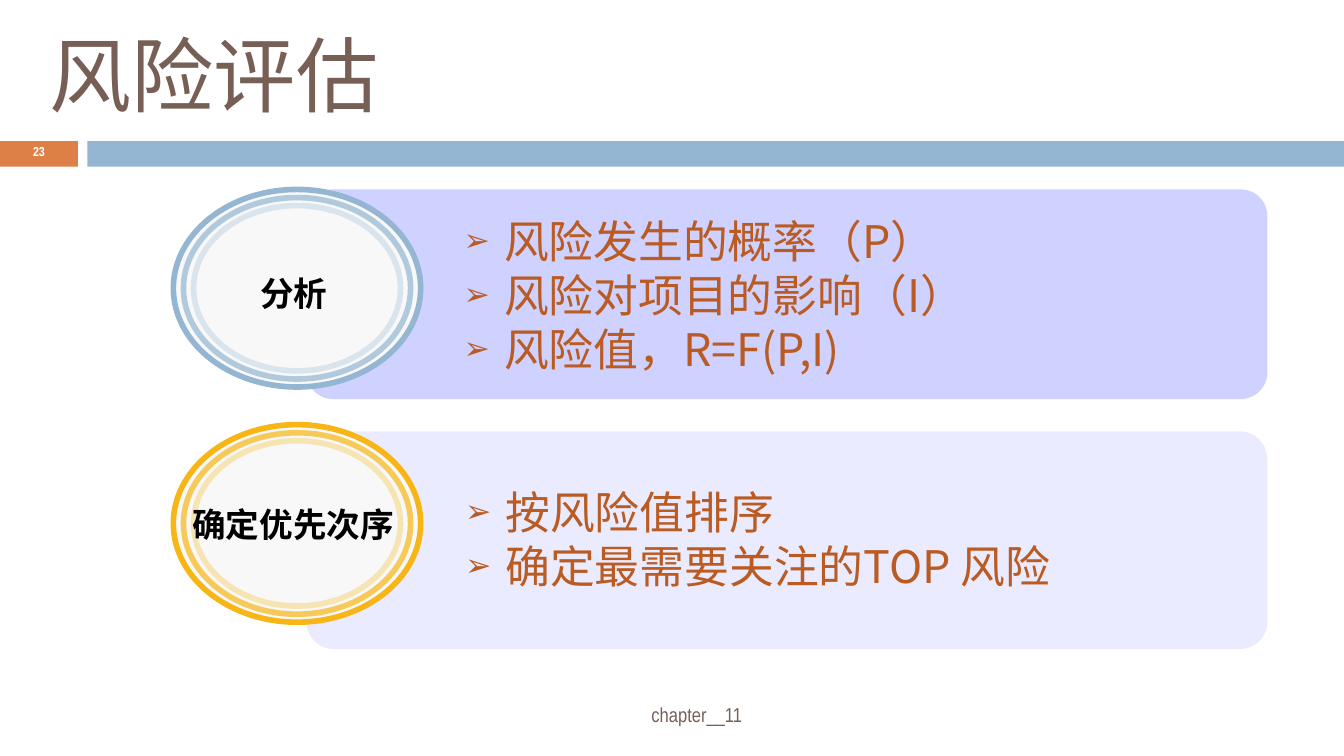
import pptx
import pptx.dml.color
import pptx.enum.shapes
import pptx.enum.text
import pptx.oxml
import pptx.oxml.ns
import pptx.util
from dataclasses import dataclass

Inches = pptx.util.Inches
Pt = pptx.util.Pt
RGB = pptx.dml.color.RGBColor.from_string
SHAPE = pptx.enum.shapes.MSO_SHAPE
ANCHOR = pptx.enum.text.MSO_ANCHOR
ALIGN = pptx.enum.text.PP_ALIGN
qn = pptx.oxml.ns.qn


@dataclass(frozen=True)
class Theme:
    brown: str = "775F55"
    orange: str = "DD8047"
    blue: str = "94B6D2"
    gold: str = "F7B615"
    rust: str = "B95B22"
    white: str = "FFFFFF"
    black: str = "000000"
    disc: str = "F8F8F8"
    lavender: str = "CFD1FF"
    pale: str = "EBEBFF"
    title_font: str = "Noto Sans CJK SC"
    body_font: str = "Noto Sans CJK JP"
    small_font: str = "Arial Narrow"
    title_size: float = 44
    body_size: float = 24
    label_size: float = 18
    footer_size: float = 10.8
    number_size: float = 7


THEME = Theme()


def add_element(parent, tag, **attrs):
    child = parent.makeelement(qn(tag), attrs)
    parent.append(child)
    return child


def place(sp, box):
    sp.left, sp.top, sp.width, sp.height = map(Inches, box)


def style_runs(p, size, font, color, bold=False):
    for r in p.runs:
        r.font.size = Pt(size)
        r.font.bold = bold
        r.font.color.rgb = RGB(color)
        r.font.name = font
        add_element(r._r.get_or_add_rPr(), "a:ea", typeface=font)


def add_box(shapes, kind, box, fill):
    sp = shapes.add_shape(kind, *map(Inches, box))
    sp.shadow.inherit = False
    if fill:
        sp.fill.solid()
        sp.fill.fore_color.rgb = RGB(fill)
    else:
        sp.fill.background()
    sp.line.fill.background()
    return sp


def add_text(s, box, text, size, font, color, bold=False, anchor=ANCHOR.MIDDLE, spacing=None):
    sp = s.shapes.add_textbox(*map(Inches, box))
    tf = sp.text_frame
    tf.word_wrap = True
    tf.vertical_anchor = anchor
    tf.text = text
    p = tf.paragraphs[0]
    p.alignment = ALIGN.CENTER
    p.line_spacing = spacing
    style_runs(p, size, font, color, bold)


def set_title(s, text):
    sp = s.shapes.title
    place(sp, (0.27, 0.14, 8.92, 0.81))
    tf = sp.text_frame
    tf.text = text
    tf.vertical_anchor = ANCHOR.MIDDLE
    p = tf.paragraphs[0]
    p.alignment = ALIGN.LEFT
    style_runs(p, THEME.title_size, THEME.title_font, THEME.brown)


def fill_list(sp, box, items):
    place(sp, box)
    sp._element.getparent().append(sp._element)
    tf = sp.text_frame
    tf.text = "\n".join(items)
    tf.vertical_anchor = ANCHOR.TOP
    tf.auto_size = pptx.enum.text.MSO_AUTO_SIZE.NONE
    for p in tf.paragraphs:
        p.level = 1
        p.space_before = Pt(0)
        pPr = p._p.get_or_add_pPr()
        pPr.set("marL", str(Inches(0.7)))
        pPr.set("indent", str(Inches(-0.3)))
        add_element(add_element(pPr, "a:buClr"), "a:srgbClr", val=THEME.rust)
        add_element(pPr, "a:buSzPct", val="70000")
        add_element(pPr, "a:buChar", char="➢")
        style_runs(p, THEME.body_size, THEME.body_font, THEME.rust)


def add_rings(s, top, color):
    group = s.shapes.add_group_shape()
    for i, alpha in enumerate((100, 70, 30)):
        dx, dy = 0.075 * i, 0.06 * i
        box = (1.29 + dx, top + dy, 1.84 - 2 * dx, 1.47 - 2 * dy)
        sp = add_box(group.shapes, SHAPE.OVAL, box, None if i else THEME.disc)
        sp.line.color.rgb = RGB(color)
        sp.line.width = Pt(3)
        if alpha < 100:
            clr = sp.line._ln.find(".//" + qn("a:srgbClr"))
            add_element(clr, "a:alpha", val=str(alpha * 1000))


def add_panel(s, top, height, fill):
    sp = add_box(s.shapes, SHAPE.ROUNDED_RECTANGLE, (2.28, top, 7.15, height), fill)
    sp.adjustments[0] = 0.127


def add_label(s, box, text):
    add_text(s, box, text, THEME.label_size, THEME.title_font, THEME.black,
             bold=True, anchor=ANCHOR.TOP)


def add_frame(s):
    add_box(s.shapes, SHAPE.RECTANGLE, (0, 1.05, 0.58, 0.19), THEME.orange)
    add_box(s.shapes, SHAPE.RECTANGLE, (0.65, 1.05, 9.35, 0.19), THEME.blue)
    add_text(s, (2.22, 5.18, 5.93, 0.3), "chapter__11", THEME.footer_size,
             THEME.small_font, THEME.brown, spacing=0.8)
    add_text(s, (0, 1.04, 0.58, 0.2), "23", THEME.number_size,
             THEME.small_font, THEME.white, bold=True, spacing=0.8)


def main():
    prs = pptx.Presentation()
    prs.slide_width, prs.slide_height = Inches(10), Inches(10 * 9 / 16)
    s = prs.slides.add_slide(prs.slide_layouts.get_by_name("Two Content"))
    analysis, priority = s.placeholders[1], s.placeholders[2]

    set_title(s, "风险评估")
    add_frame(s)

    add_panel(s, 1.41, 1.56, THEME.lavender)
    add_rings(s, 1.41, THEME.blue)
    add_label(s, (1.31, 1.98, 1.75, 0.4), "分析")
    fill_list(analysis, (2.95, 1.54, 6.45, 1.3),
              ["风险发生的概率（P）", "风险对项目的影响（I）", "风险值，R=F(P,I)"])

    add_panel(s, 3.21, 1.62, THEME.pale)
    add_rings(s, 3.16, THEME.gold)
    add_label(s, (1.29, 3.7, 1.78, 0.4), "确定优先次序")
    fill_list(priority, (2.96, 3.56, 6.39, 0.9),
              ["按风险值排序", "确定最需要关注的TOP 风险"])

    prs.save("out.pptx")


if __name__ == "__main__":
    main()
